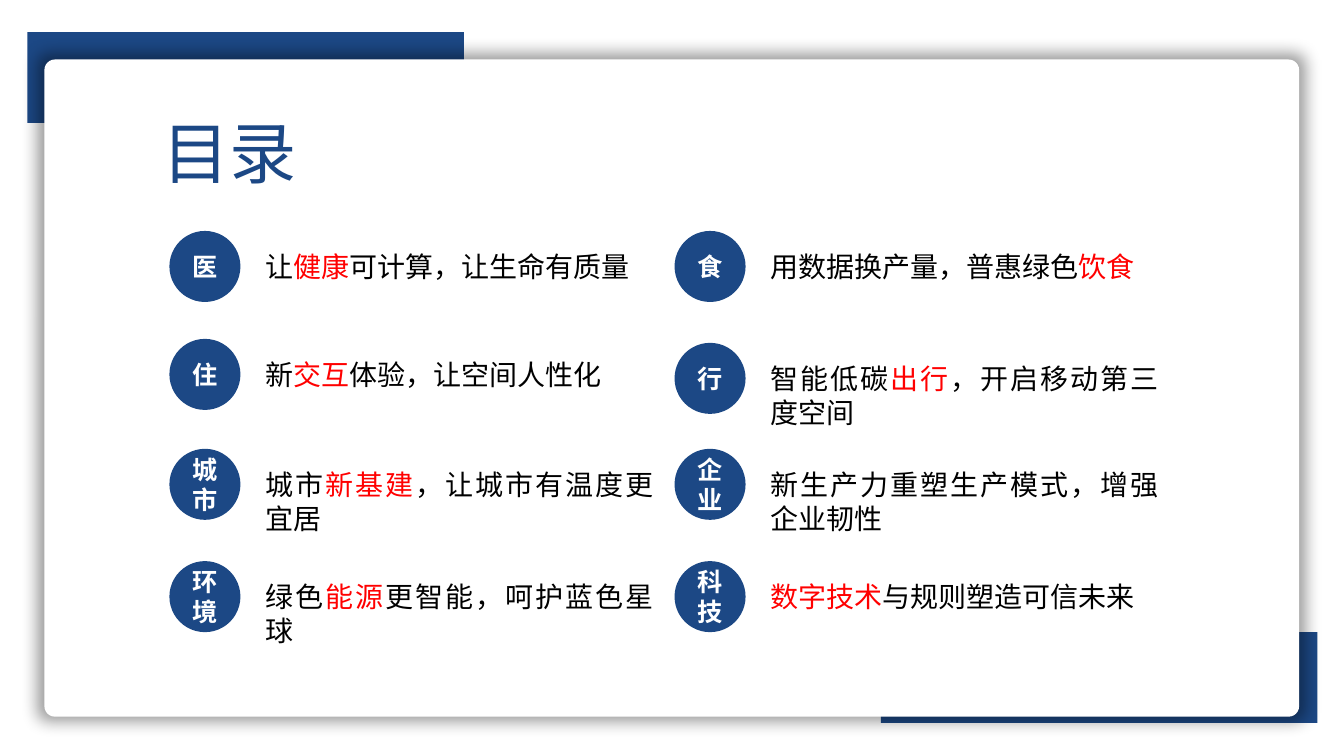
import pptx
import pptx.util
import pptx.dml.color
import pptx.enum.shapes
import pptx.enum.text
import pptx.oxml
import pptx.oxml.ns

Cm = pptx.util.Cm
Pt = pptx.util.Pt
SHAPE = pptx.enum.shapes.MSO_SHAPE
ALIGN = pptx.enum.text.PP_ALIGN
ANCHOR = pptx.enum.text.MSO_ANCHOR
AUTO_SIZE = pptx.enum.text.MSO_AUTO_SIZE

NAVY, WHITE, BLACK, RED = "1C4885", "FFFFFF", "000000", "FF0000"

GLOW = (
    f'<a:effectLst {pptx.oxml.ns.nsdecls("a")}>'
    '<a:outerShdw blurRad="150000" dist="0" sx="101000" sy="101500" algn="ctr" rotWithShape="0">'
    '<a:srgbClr val="000000"><a:alpha val="40000"/></a:srgbClr>'
    '</a:outerShdw></a:effectLst>'
)

# Left edge of each column, then (badge, top, sentence) for its topics;
# asterisks enclose the highlighted words.
COLUMNS = {
    4.27: [
        ("医", 5.82, "让*健康*可计算，让生命有质量"),
        ("住", 8.54, "新*交互*体验，让空间人性化"),
        ("城市", 11.31, "城市*新基建*，让城市有温度更宜居"),
        ("环境", 14.14, "绿色*能源*更智能，呵护蓝色星球"),
    ],
    17.0: [
        ("食", 5.82, "用数据换产量，普惠绿色*饮食*"),
        ("行", 8.64, "智能低碳*出行*，开启移动第三度空间"),
        ("企业", 11.31, "新生产力重塑生产模式，增强企业韧性"),
        ("科技", 14.14, "*数字技术*与规则塑造可信未来"),
    ],
}


def colour(hex_code):
    return pptx.dml.color.RGBColor.from_string(hex_code)


def apply(target, settings):
    for name, value in settings.items():
        setattr(target, name, value)


class Agenda:
    """Holds the text styles and the slide being built."""

    heading = {"size": Pt(48), "name": "Calibri", "bold": False}
    badge = {"size": Pt(18), "name": "League Spartan", "bold": True}
    sentence = {"size": Pt(20), "name": "Calibri"}
    growing = {"word_wrap": True, "auto_size": AUTO_SIZE.SHAPE_TO_FIT_TEXT,
               "vertical_anchor": ANCHOR.TOP}
    centred = {"word_wrap": True, "vertical_anchor": ANCHOR.MIDDLE}
    diameter = 1.79

    def __init__(self, deck):
        self.slide = deck.slides.add_slide(deck.slide_layouts[5])

    def shape(self, parent, preset, left, top, width, height, fill):
        drawn = parent.shapes.add_shape(preset, Cm(left), Cm(top), Cm(width), Cm(height))
        drawn.shadow.inherit = False
        drawn.fill.solid()
        drawn.fill.fore_color.rgb = colour(fill)
        drawn.line.fill.background()
        return drawn

    def fill_text(self, frame, text, style, layout, align, base):
        """Fill a text frame, turning the words between asterisks red."""
        apply(frame, layout)
        paragraph = frame.paragraphs[0]
        paragraph.alignment = align
        for index, words in enumerate(text.split("*")):
            if words:
                run = paragraph.add_run()
                run.text = words
                apply(run.font, style)
                run.font.color.rgb = colour(RED if index % 2 else base)

    def panel(self, left, top, width, height):
        card = self.shape(self.slide, SHAPE.ROUNDED_RECTANGLE, left, top, width, height, WHITE)
        card.adjustments[0] = 0.016
        properties = card.element.spPr
        properties.remove(properties.find(pptx.oxml.ns.qn("a:effectLst")))
        properties.append(pptx.oxml.parse_xml(GLOW))

    def title(self, text, left, top, width, height):
        title = self.slide.shapes.title
        apply(title, {"left": Cm(left), "top": Cm(top), "width": Cm(width), "height": Cm(height)})
        self.fill_text(title.text_frame, text, self.heading, self.growing, ALIGN.JUSTIFY, NAVY)
        # Bring the title in front of the panel
        title.element.getparent().append(title.element)

    def topic(self, badge, sentence, left, top):
        """Group a round badge with the sentence to its right."""
        group = self.slide.shapes.add_group_shape()
        circle = self.shape(group, SHAPE.OVAL, left, top, self.diameter, self.diameter, NAVY)
        self.fill_text(circle.text_frame, badge, self.badge, self.centred, ALIGN.CENTER, WHITE)
        height = 1.96 if len(sentence.replace("*", "")) > 13 else 1.11
        box = group.shapes.add_textbox(Cm(left + 2.16), Cm(top + 0.35), Cm(10.29), Cm(height))
        self.fill_text(box.text_frame, sentence, self.sentence, self.growing, ALIGN.JUSTIFY, BLACK)


def main():
    deck = pptx.Presentation()
    apply(deck, {"slide_width": Cm(33.87), "slide_height": Cm(19.05)})
    agenda = Agenda(deck)
    for left, top in ((22.2, 15.93), (0.69, 0.81)):
        agenda.shape(agenda.slide, SHAPE.RECTANGLE, left, top, 11.0, 2.29, NAVY)
    agenda.panel(1.12, 1.5, 31.62, 16.56)
    agenda.title("目录", 3.84, 2.69, 6.45, 2.31)
    for left, topics in COLUMNS.items():
        for badge, top, sentence in topics:
            agenda.topic(badge, sentence, left, top)
    deck.save("out.pptx")


if __name__ == "__main__":
    main()
